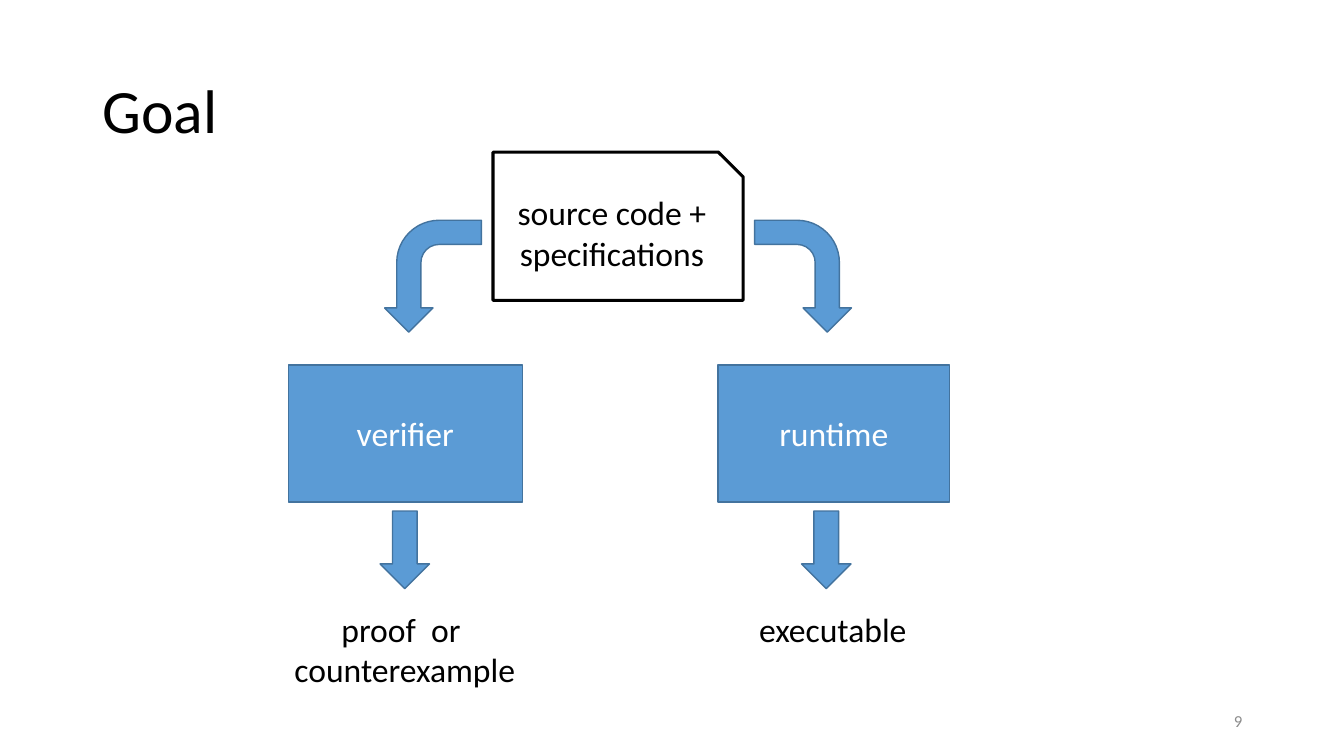
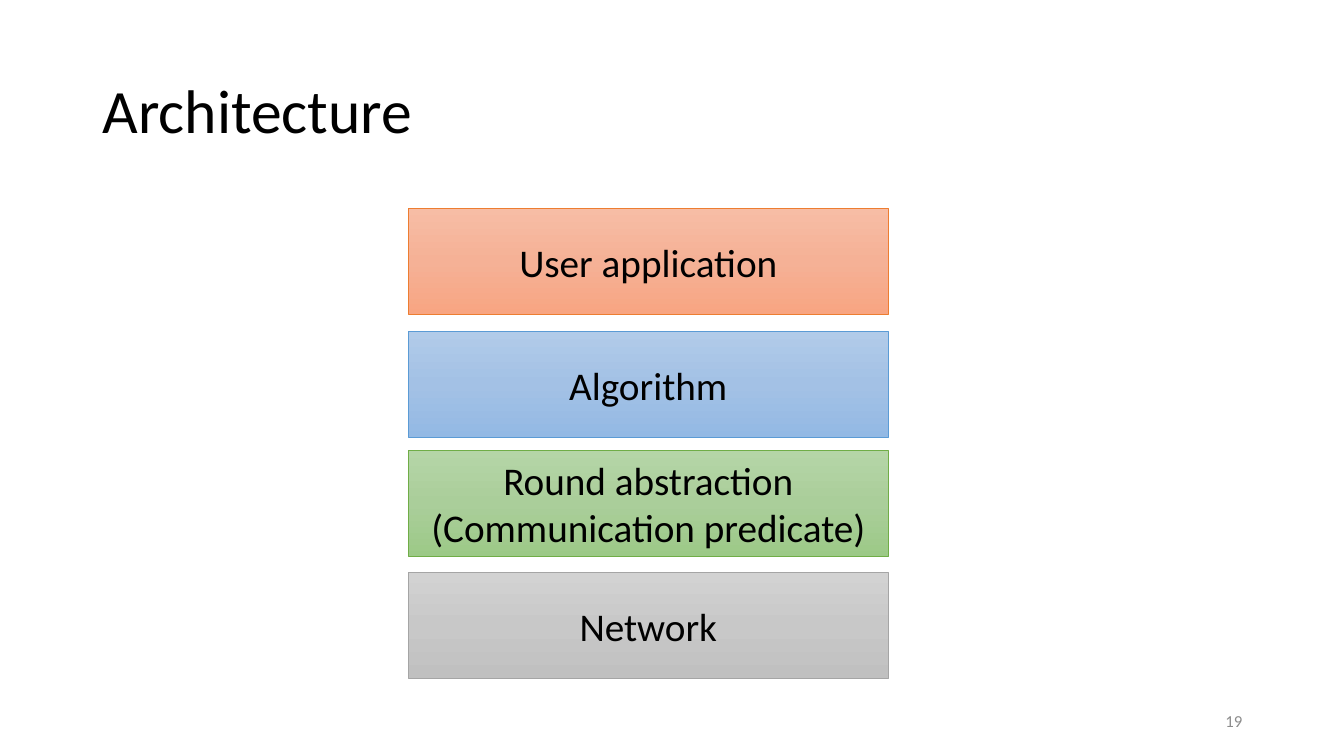
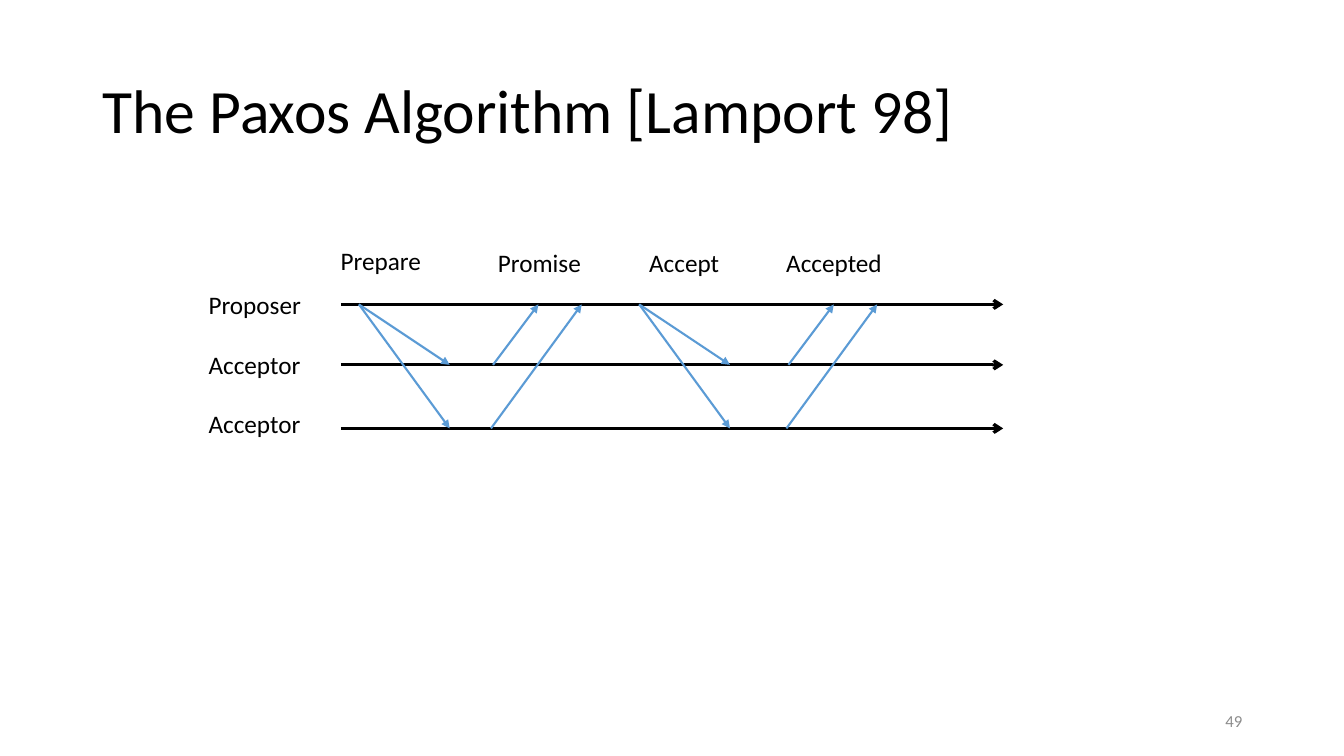
from copy import deepcopy
from dataclasses import dataclass

from lxml import etree
from pptx import Presentation
from pptx.dml.color import RGBColor
from pptx.enum import shapes, text
from pptx.oxml.ns import qn
from pptx.util import Inches, Pt

FONT = "Calibri"
COLORS = {
    "black": "000000", "white": "FFFFFF", "number": "8C8C8C",
    "blue": "5B9BD5", "blue_edge": "43739E",
    "orange": "ED7D31", "green": "70AD47", "gray": "A5A5A5",
}
GRADIENTS = {
    "orange": ("F7BDA5", "F5B196", "F8A582"),
    "blue": ("B1CBE9", "A3C1E5", "93B9E4"),
    "green": ("B5D5A7", "AACE9A", "9CC987"),
    "gray": ("D2D2D2", "C8C8C8", "C0C0C0"),
}
ALIGN = text.PP_ALIGN
ANCHOR = text.MSO_ANCHOR
KIND = shapes.MSO_SHAPE


@dataclass(frozen=True)
class Box:
    left: float
    top: float
    width: float
    height: float

    def inches(self) -> tuple:
        return tuple(Inches(v) for v in (self.left, self.top, self.width, self.height))


@dataclass(frozen=True)
class Layer:
    label: str
    color: str
    top: float


@dataclass(frozen=True)
class Message:
    start: float
    sender: int
    end: float
    receiver: int


TITLE_BOX = Box(0.92, 0.4, 11.5, 1.45)
NUMBER_BOX = Box(9.42, 6.95, 3, 0.4)


def rgb(name: str) -> RGBColor:
    return RGBColor.from_string(COLORS[name])


# Shared drawing functions
def write(frame, content: str, *, size=18, color="black", align=ALIGN.LEFT,
          anchor=ANCHOR.TOP, wrap=True, spacing=1.0) -> None:
    """Fill a text frame, one paragraph per line of content."""
    frame.word_wrap = wrap
    frame.vertical_anchor = anchor
    for index, line in enumerate(content.split("\n")):
        para = frame.add_paragraph() if index else frame.paragraphs[0]
        para.alignment = align
        para.line_spacing = spacing
        span = para.add_run()
        span.text = line
        span.font.name = FONT
        span.font.size = Pt(size)
        span.font.color.rgb = rgb(color)


def add_text(page, box: Box, content: str, **style) -> None:
    write(page.shapes.add_textbox(*box.inches()).text_frame, content, **style)


def add_block(page, kind, box: Box, label="", *, fill="blue", edge="blue_edge",
              weight=1.0, gradient=(), **style):
    shape = page.shapes.add_shape(kind, *box.inches())
    shape.shadow.inherit = False
    shape.line.color.rgb = rgb(edge)
    shape.line.width = Pt(weight)
    if gradient:
        shape.fill.gradient()
        shape.fill.gradient_angle = 270
        stops = shape.element.find(".//" + qn("a:gsLst"))
        stops.insert(1, deepcopy(stops[0]))
        for stop, position, value in zip(shape.fill.gradient_stops, (0, 0.5, 1), gradient):
            stop.position = position
            stop.color.rgb = RGBColor.from_string(value)
    else:
        shape.fill.solid()
        shape.fill.fore_color.rgb = rgb(fill)
    if label:
        write(shape.text_frame, label, align=ALIGN.CENTER, anchor=ANCHOR.MIDDLE, **style)
    return shape


def add_arrow(page, start: tuple, end: tuple, *, color: str, weight: float, head: str) -> None:
    ends = [Inches(v) for v in (*start, *end)]
    arrow = page.shapes.add_connector(shapes.MSO_CONNECTOR.STRAIGHT, *ends)
    arrow.line.color.rgb = rgb(color)
    arrow.line.width = Pt(weight)
    etree.SubElement(arrow.line._get_or_add_ln(), qn("a:tailEnd"), type=head)
    etree.SubElement(arrow.element.spPr, qn("a:effectLst"))


def add_page(deck, title: str, number: int):
    page = deck.slides.add_slide(deck.slide_layouts[6])
    add_text(page, TITLE_BOX, title, size=44, anchor=ANCHOR.MIDDLE, spacing=0.9)
    add_text(page, NUMBER_BOX, str(number), size=12, color="number",
             align=ALIGN.RIGHT, anchor=ANCHOR.MIDDLE)
    return page


# Slides
def build_goal(deck) -> None:
    page = add_page(deck, "Goal", 9)
    add_block(page, KIND.SNIP_1_RECTANGLE, Box(4.89, 1.51, 2.48, 1.47),
              "source code + specifications", fill="white", edge="black",
              weight=2.25, size=24)
    for label, left, width in (("verifier", 2.86, 2.32), ("runtime", 7.12, 2.3)):
        add_block(page, KIND.RECTANGLE, Box(left, 3.62, width, 1.36), label,
                  size=24, color="white")

    # Bent arrows from the source, the left one mirrored
    for left, turn in ((7.41, 90), (3.74, 270)):
        bent = add_block(page, KIND.BENT_ARROW, Box(left, 2.26, 1.11, 0.96))
        bent.rotation = turn
        if turn == 270:
            bent.element.spPr.find(qn("a:xfrm")).set("flipH", "1")

    # Results
    for left in (3.77, 7.95):
        add_block(page, KIND.DOWN_ARROW, Box(left, 5.07, 0.49, 0.77))
    add_text(page, Box(2.81, 5.99, 2.41, 0.91), "proof  or \ncounterexample",
             size=24, align=ALIGN.CENTER, wrap=False)
    add_text(page, Box(7.43, 5.99, 1.68, 0.5), "executable", size=24, wrap=False)


def build_architecture(deck) -> None:
    page = add_page(deck, "Architecture", 19)
    layers = (
        Layer("User application", "orange", 2.07),
        Layer("Algorithm", "blue", 3.29),
        Layer("Round abstraction (Communication predicate)", "green", 4.47),
        Layer("Network", "gray", 5.68),
    )
    for layer in layers:
        add_block(page, KIND.RECTANGLE, Box(4.05, layer.top, 4.76, 1.05), layer.label,
                  edge=layer.color, weight=0.5, gradient=GRADIENTS[layer.color], size=28)


def build_paxos(deck) -> None:
    page = add_page(deck, "The Paxos Algorithm [Lamport 98]", 49)

    # Timelines
    lanes = (3.02, 3.62, 4.25)
    for y in lanes:
        add_arrow(page, (3.38, y), (9.95, y), color="black", weight=2.25, head="arrow")

    # Two rounds of requests and replies
    for request, reply in ((3.56, 4.87), (6.34, 7.8)):
        messages = (
            Message(request, 0, request + 0.9, 1),
            Message(request, 0, request + 0.9, 2),
            Message(reply + 0.02, 1, reply + 0.47, 0),
            Message(reply, 2, reply + 0.9, 0),
        )
        for message in messages:
            add_arrow(page, (message.start, lanes[message.sender]),
                      (message.end, lanes[message.receiver]),
                      color="blue", weight=1.5, head="triangle")

    # Roles and phases
    labels = (
        ("Proposer", Box(1.97, 2.82, 1.13, 0.4)),
        ("Acceptor", Box(1.97, 3.42, 1.12, 0.4)),
        ("Acceptor", Box(1.97, 4, 1.12, 0.4)),
        ("Prepare", Box(3.28, 2.38, 1.01, 0.4)),
        ("Promise", Box(4.84, 2.4, 1.03, 0.4)),
        ("Accept", Box(6.34, 2.4, 0.9, 0.4)),
        ("Accepted", Box(7.7, 2.4, 1.16, 0.4)),
    )
    for label, box in labels:
        add_text(page, box, label, wrap=False)


def main() -> None:
    deck = Presentation()
    deck.slide_width = Inches(13.33)
    deck.slide_height = Inches(7.5)
    build_goal(deck)
    build_architecture(deck)
    build_paxos(deck)
    deck.save("out.pptx")


if __name__ == "__main__":
    main()
